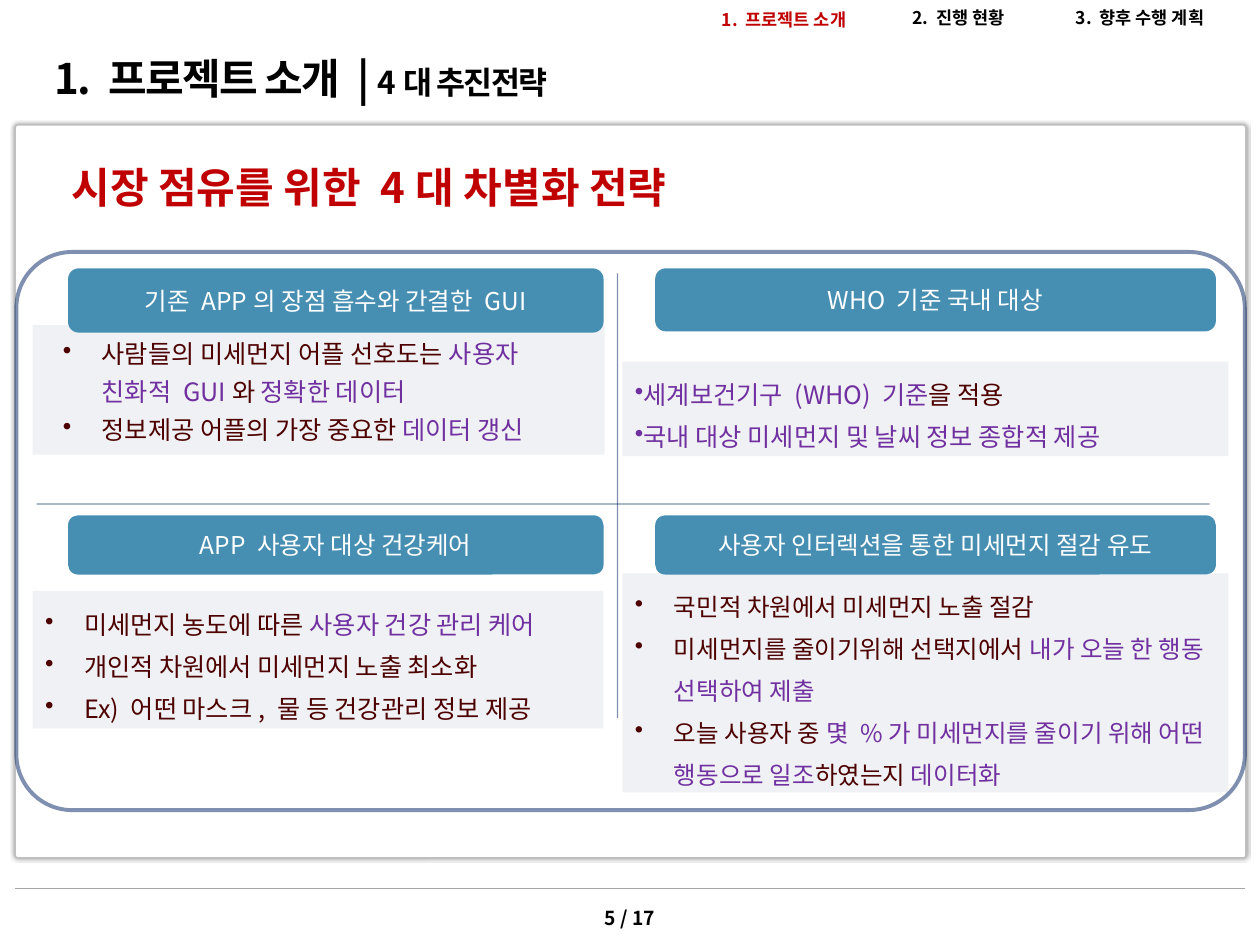
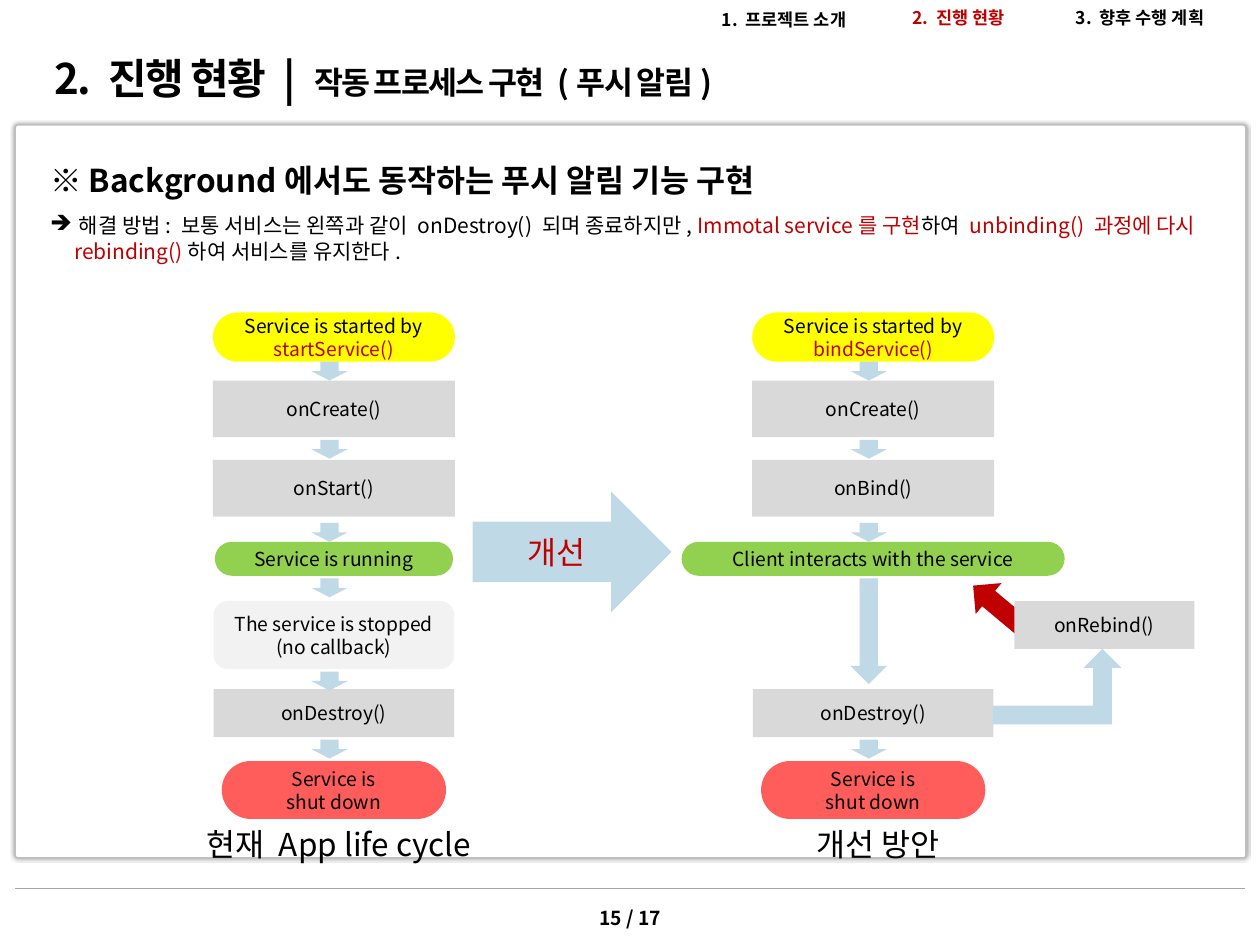
from lxml import etree
from pptx import Presentation
from pptx.dml.color import RGBColor
from pptx.enum.shapes import MSO_CONNECTOR, MSO_SHAPE as Shape
from pptx.enum.text import MSO_ANCHOR as Anchor, PP_ALIGN as Align
from pptx.oxml.ns import qn
from pptx.util import Inches, Pt

FONT = "Noto Sans CJK KR"
BLACK, WHITE, RED = "000000", "FFFFFF", "C00000"
MAROON, PURPLE, NAVY, TEAL = "4D0000", "7030A0", "002060", "478FB2"
GREY, PALE_GREY, PALE_BLUE = "D9D9D9", "F2F2F2", "BFD9E6"
YELLOW, GREEN, CORAL = "FFFF00", "92D050", "FF5C5C"

PAGE_COUNT = 17
CHAPTERS = [
    ("1. 프로젝트 소개", (5.63, 0.02, 1.58, 0.27)),
    ("2. 진행 현황", (7.14, 0.01, 1.01, 0.27)),
    ("3. 향후 수행 계획", (8.44, 0.01, 1.37, 0.27)),
]

STRATEGY_HEADING = "시장 점유를 위한 4대 차별화 전략"
STRATEGIES = [
    {"header": "기존 APP의 장점 흡수와 간결한 GUI", "header_at": (0.54, 2.13, 4.25, 0.51),
     "body_at": (0.26, 2.58, 4.54, 1.03), "margin": 0.45, "spacing": 21.6, "size": 14.4,
     "points": [
         [("사람들의 미세먼지 어플 선호도는 ", MAROON), ("사용자 친화적 GUI", PURPLE),
          ("와 ", MAROON), ("정확한 데이터", PURPLE)],
         [("정보제공 어플의 가장 중요한 ", MAROON), ("데이터 갱신", PURPLE)]]},
    {"header": "WHO 기준 국내 대상", "header_at": (5.2, 2.13, 4.45, 0.5),
     "body_at": (4.94, 2.87, 4.81, 0.75), "margin": 0.03, "spacing": 24, "size": 14.4,
     "points": [
         [("세계보건기구 (WHO) 기준", PURPLE), ("을 적용", MAROON)],
         [("국내 대상 미세먼지 및 날씨 정보 종합적 제공", PURPLE)]]},
    {"header": "APP 사용자 대상 건강케어", "header_at": (0.54, 4.09, 4.25, 0.47),
     "body_at": (0.26, 4.69, 4.53, 1.09), "margin": 0.31, "spacing": 24, "size": 14.4,
     "points": [
         [("미세먼지 농도에 따른 ", MAROON), ("사용자 건강 관리 케어", PURPLE)],
         [("개인적 차원에서 미세먼지 노출 최소화", MAROON)],
         [("Ex) 어떤 마스크, 물 등 건강관리 정보 제공", MAROON)]]},
    {"header": "사용자 인터렉션을 통한 미세먼지 절감 유도", "header_at": (5.2, 4.09, 4.45, 0.47),
     "body_at": (4.94, 4.55, 4.81, 1.74), "margin": 0.31, "spacing": 24, "size": 14,
     "points": [
         [("국민적 차원에서 미세먼지 노출 절감", MAROON)],
         [("미세먼지를 줄이기위해 선택지에서 ", MAROON),
          ("내가 오늘 한 행동 선택하여 제출", PURPLE)],
         [("오늘 사용자 중 ", MAROON),
          ("몇 %가 미세먼지를 줄이기 위해 어떤 행동으로 일조", PURPLE),
          ("하였는지 ", MAROON), ("데이터화", PURPLE)]]},
]

PUSH_HEADING = "※ Background에서도 동작하는 푸시 알림 기능 구현"
PUSH_SOLUTION = [
    (" 해결 방법: 보통 서비스는 왼쪽과 같이 onDestroy() 되며 종료하지만, ", BLACK),
    ("Immotal service를 구현", RED), ("하여 ", BLACK),
    ("unbinding() 과정에 다시 rebinding()", RED), ("하여 서비스를 유지한다.", BLACK),
]
STAGES = {
    "start": (2.48, 0.39, 1.92, YELLOW, 0.5),
    "create": (3.02, 0.45, 1.92, GREY, None),
    "begin": (3.65, 0.45, 1.92, GREY, None),
    "active": (4.3, 0.27, 1.89, GREEN, 0.5),
    "stopped": (4.77, 0.54, 1.91, PALE_GREY, 0.21),
    "destroy": (5.47, 0.38, 1.91, GREY, None),
    "shutdown": (6.04, 0.46, 1.78, CORAL, 0.5),
}
SHUT_DOWN = [[("Service is", BLACK)], [("shut down", BLACK)]]
LIFE_CYCLES = [
    {"center": 2.65, "caption": "현재 App life cycle", "caption_at": (1.46, 6.5, 2.46, 0.4),
     "active_width": 1.89,
     "steps": {
         "start": [[("Service is started by ", BLACK), ("startService()", RED)]],
         "create": "onCreate()", "begin": "onStart()", "active": "Service is running",
         "stopped": "The service is stopped (no callback)",
         "destroy": "onDestroy()", "shutdown": SHUT_DOWN},
     "arrows": [(2.87, 0.15), (3.49, 0.15), (4.15, 0.15), (4.59, 0.15), (5.33, 0.15),
                (5.87, 0.15)]},
    {"center": 6.93, "caption": "개선 방안", "caption_at": (6.34, 6.5, 1.25, 0.4),
     "active_width": 3.04,
     "steps": {
         "start": [[("Service is started by ", BLACK), ("bindService()", RED)]],
         "create": "onCreate()", "begin": "onBind()",
         "active": "Client interacts with the service",
         "destroy": "onDestroy()", "shutdown": SHUT_DOWN},
     "arrows": [(2.87, 0.15), (3.49, 0.15), (4.15, 0.15), (4.59, 0.84), (5.87, 0.15)]},
]


def rgb(value):
    """Turn a hex string into a colour."""
    return RGBColor.from_string(value)


def fade(parent, percent):
    """Make the solid colour inside an element partly transparent."""
    color = next(parent.iter(qn("a:srgbClr")))
    etree.SubElement(color, qn("a:alpha"), val=str(percent * 1000))


def write_paragraph(paragraph, runs, size, bold=False, align=Align.LEFT, bullet=None, margin=0,
                    hang=0.31, spacing=None, before=None):
    """Fill one paragraph with (text, colour) runs."""
    paragraph.alignment = align
    if spacing:
        paragraph.line_spacing = Pt(spacing)
    if before:
        paragraph.space_before = Pt(before)
    properties = paragraph._p.get_or_add_pPr()
    if bullet:
        properties.set("marL", str(Inches(margin)))
        properties.set("indent", str(-Inches(hang)))
        etree.SubElement(properties, qn("a:buChar"), char=bullet)
    font = paragraph.font
    font.size, font.bold, font.name = Pt(size), bold, FONT
    if len({color for _, color in runs}) == 1:
        font.color.rgb = rgb(runs[0][1])
    latin = properties.find(qn("a:defRPr")).find(qn("a:latin"))
    latin.addnext(etree.Element(qn("a:ea"), typeface=FONT))
    for text, color in runs:
        run = paragraph.add_run()
        run.text = text
        if len(runs) > 1:
            run.font.color.rgb = rgb(color)


def write(shape, content, size, color=BLACK, anchor=Anchor.TOP, **style):
    """Write a string or a list of paragraphs into a shape."""
    frame = shape.text_frame
    frame.word_wrap, frame.vertical_anchor = True, anchor
    paragraphs = [[(content, color)]] if isinstance(content, str) else content
    for index, runs in enumerate(paragraphs):
        paragraph = frame.add_paragraph() if index else frame.paragraphs[0]
        write_paragraph(paragraph, runs, size, **style)


def add_text(slide, at, content, size, **style):
    """Add a text box."""
    box = slide.shapes.add_textbox(*map(Inches, at))
    write(box, content, size, **style)
    return box


def add_block(slide, kind, at, fill=None, line=None, width=1, corner=None):
    """Add a flat preset shape."""
    block = slide.shapes.add_shape(kind, *map(Inches, at))
    block.shadow.inherit = False
    if fill:
        block.fill.solid()
        block.fill.fore_color.rgb = rgb(fill)
    else:
        block.fill.background()
    if line:
        block.line.color.rgb = rgb(line)
        block.line.width = Pt(width)
    else:
        block.line.fill.background()
    if corner is not None:
        block.adjustments[0] = corner
    return block


def add_label(slide, kind, at, fill, content, size, color=BLACK, corner=None):
    """Add a filled shape with centred text."""
    block = add_block(slide, kind, at, fill, corner=corner)
    write(block, content, size, color, Anchor.MIDDLE, align=Align.CENTER)


def add_rule(slide, ends, color, opacity=100):
    """Add a thin straight line."""
    rule = slide.shapes.add_connector(MSO_CONNECTOR.STRAIGHT, *map(Inches, ends))
    rule.line.color.rgb = rgb(color)
    rule.line.width = Pt(0.75)
    properties = rule._element.spPr
    fade(properties, opacity)
    etree.SubElement(properties, qn("a:effectLst"))


def add_page(deck, number, chapter, subtitle):
    """Add a slide with the shared frame, title, chapter bar and page number."""
    slide = deck.slides.add_slide(deck.slide_layouts[6])
    add_rule(slide, (0.12, 7.05, 9.88, 7.05), "A6A6A6")
    add_text(slide, (4.34, 7.14, 1.32, 0.29), f"{number} / {PAGE_COUNT}", 11, bold=True,
             align=Align.CENTER)
    panel = add_block(slide, Shape.ROUNDED_RECTANGLE, (0.12, 0.99, 9.77, 5.82), WHITE, "BFBFBF",
                      corner=0.004)
    effects = panel._element.spPr.find(qn("a:effectLst"))
    glow = etree.SubElement(effects, qn("a:outerShdw"), blurRad=str(Pt(2)), dist="0", dir="0",
                            algn="ctr", rotWithShape="0")
    etree.SubElement(glow, qn("a:srgbClr"), val=BLACK)
    fade(glow, 40)

    title_runs = [(f"{CHAPTERS[chapter][0]} | ", BLACK), (subtitle, BLACK)]
    title = add_text(slide, (0.3, 0.36, 9.45, 0.52), [title_runs], 24, anchor=Anchor.MIDDLE,
                     bold=True)
    frame = title.text_frame
    frame.margin_left = frame.margin_right = Inches(0.13)
    frame.margin_top = frame.margin_bottom = Inches(0.06)
    for run, size in zip(frame.paragraphs[0].runs, (24, 18)):
        run.font.size = Pt(size)
        run._r.get_or_add_rPr().set("spc", "-100")
    for index, (name, at) in enumerate(CHAPTERS):
        add_text(slide, at, name, 10, color=RED if index == chapter else BLACK, bold=True)
    return slide


def build_strategies(deck):
    """Build the four strategies slide."""
    slide = add_page(deck, 5, 0, "4대 추진전략")
    for strategy in STRATEGIES:
        body = add_block(slide, Shape.RECTANGLE, strategy["body_at"], NAVY)
        fade(body._element.spPr, 6)
        write(body, strategy["points"], strategy["size"], bullet="•",
              margin=strategy["margin"], spacing=strategy["spacing"])
    outline = add_block(slide, Shape.ROUNDED_RECTANGLE, (0.13, 2, 9.75, 4.43), line=NAVY,
                        width=2.25, corner=0.1)
    fade(outline._element.spPr, 50)
    for strategy in STRATEGIES:
        add_label(slide, Shape.ROUNDED_RECTANGLE, strategy["header_at"], TEAL,
                  strategy["header"], 14, WHITE)
    add_text(slide, (0.47, 1.23, 5.23, 0.5), STRATEGY_HEADING, 24, color=RED, bold=True)
    for ends in ((0.29, 4, 9.6, 4), (4.9, 2.17, 4.9, 5.7)):
        add_rule(slide, ends, NAVY, 49)


def build_life_cycle(slide, cycle):
    """Draw one service life cycle as a column of steps."""
    center = cycle["center"]
    for stage, content in cycle["steps"].items():
        top, height, width, fill, corner = STAGES[stage]
        if stage == "active":
            width = cycle["active_width"]
        kind = Shape.RECTANGLE if corner is None else Shape.ROUNDED_RECTANGLE
        add_label(slide, kind, (center - width / 2, top, width, height), fill, content, 11,
                  corner=corner)
    for top, height in cycle["arrows"]:
        add_block(slide, Shape.DOWN_ARROW, (center - 0.18, top, 0.29, height), PALE_BLUE)
    add_text(slide, cycle["caption_at"], cycle["caption"], 18, align=Align.CENTER)


def build_push_process(deck):
    """Build the push notification process slide."""
    slide = add_page(deck, 15, 1, "작동 프로세스 구현 (푸시 알림)")
    intro = add_text(slide, (0.3, 1.23, 9.43, 0.93), PUSH_HEADING, 18, bold=True)
    write_paragraph(intro.text_frame.add_paragraph(), PUSH_SOLUTION, 12, bullet="➔",
                    margin=0.19, hang=0.19, before=8)
    for cycle in LIFE_CYCLES:
        build_life_cycle(slide, cycle)
    add_block(slide, Shape.BENT_UP_ARROW, (7.88, 5.15, 1.02, 0.6), PALE_BLUE)
    rebind_arrow = add_block(slide, Shape.LEFT_ARROW, (7.65, 4.69, 0.63, 0.32), RED)
    rebind_arrow.rotation = 39.9
    add_label(slide, Shape.RIGHT_ARROW, (3.75, 3.9, 1.58, 0.96), PALE_BLUE, "개선", 18, RED)
    add_label(slide, Shape.RECTANGLE, (8.05, 4.77, 1.43, 0.38), GREY, "onRebind()", 11)


def main():
    """Build and save the deck."""
    deck = Presentation()
    deck.slide_width, deck.slide_height = Inches(10), Inches(7.5)
    build_strategies(deck)
    build_push_process(deck)
    deck.save("out.pptx")


if __name__ == "__main__":
    main()
